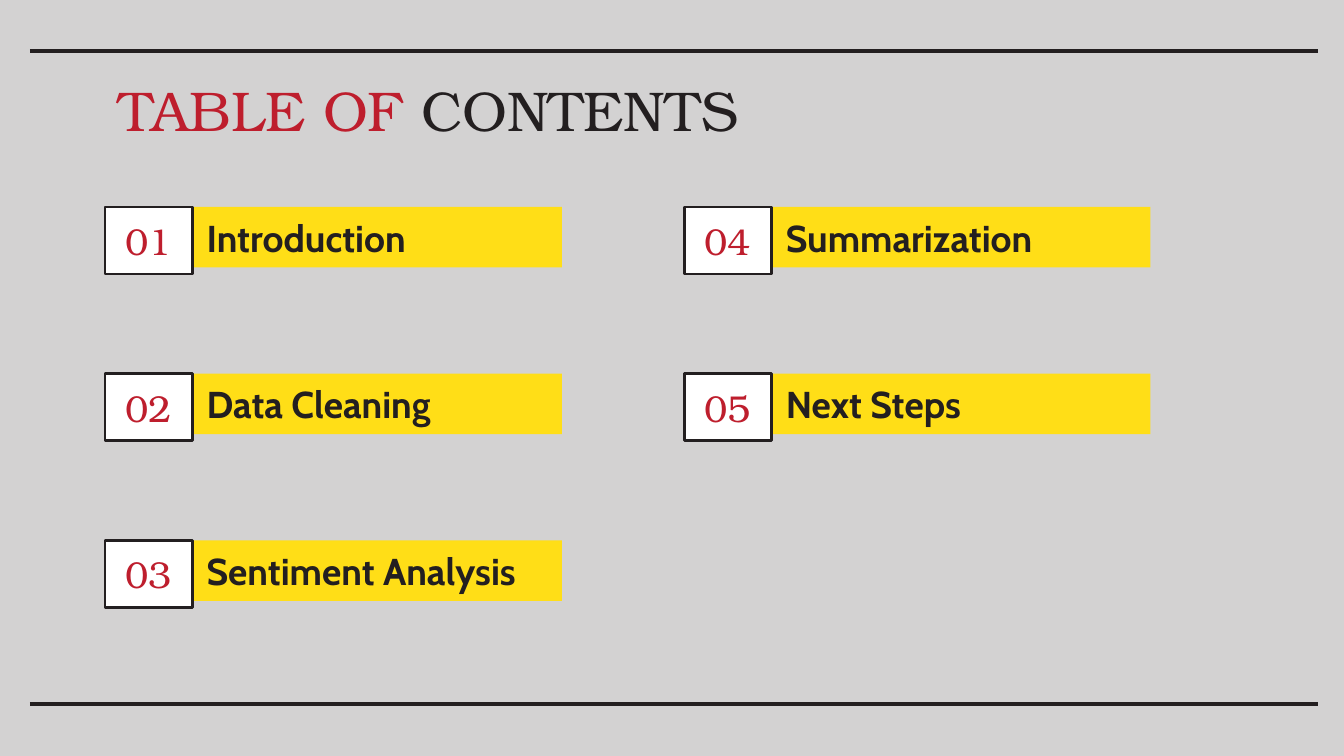
from lxml.etree import SubElement
from pptx import Presentation
from pptx.dml.color import RGBColor
from pptx.enum.shapes import MSO_CONNECTOR, MSO_SHAPE
from pptx.enum.text import MSO_ANCHOR, PP_ALIGN
from pptx.oxml.ns import qn
from pptx.util import Pt

GREY = RGBColor(0xD3, 0xD2, 0xD2)
BLACK = RGBColor(0x23, 0x1F, 0x20)
RED = RGBColor(0xBE, 0x1E, 0x2D)
YELLOW = RGBColor(0xFF, 0xDE, 0x17)
WHITE = RGBColor(0xFF, 0xFF, 0xFF)

SERIF, SANS = "TeX Gyre Bonum", "Cabin"
NUMBER_W, NUMBER_H = 46.8, 36
BAR_OFFSET, BAR_H = 47.4, 32.4
ROW_TOP, ROW_PITCH = 110.9, 89.3

# Left edge, width and entries of each column
COLUMNS = [
    (56.2, 244.8, ["Introduction", "Data Cleaning", "Sentiment Analysis"]),
    (366.5, 249.8, ["Summarization", "Next Steps"]),
]


def write(sp, runs, align=PP_ALIGN.LEFT, **font):
    """Fill a shape with one paragraph of (text, colour) runs."""
    tf = sp.text_frame
    frame = dict(word_wrap=True, vertical_anchor=MSO_ANCHOR.MIDDLE,
                 margin_left=Pt(7.2), margin_right=Pt(7.2),
                 margin_top=Pt(7.2), margin_bottom=Pt(7.2))
    for name, value in frame.items():
        setattr(tf, name, value)
    p = tf.paragraphs[0]
    p.alignment = align
    for text, color in runs:
        r = p.add_run()
        r.text = text
        r.font.color.rgb = color
        for name, value in font.items():
            setattr(r.font, name, value)


def add_box(s, x, y, w, h, fill, border=None):
    sp = s.shapes.add_shape(MSO_SHAPE.RECTANGLE, Pt(x), Pt(y), Pt(w), Pt(h))
    sp.shadow.inherit = False
    sp.fill.solid()
    sp.fill.fore_color.rgb = fill
    if border is None:
        sp.line.fill.background()
    else:
        sp.line.color.rgb = border
        sp.line.width = Pt(1.5)
    return sp


def add_rule(s, x, y, w):
    line = s.shapes.add_connector(MSO_CONNECTOR.STRAIGHT, Pt(x), Pt(y), Pt(x + w), Pt(y))
    line.line.color.rgb = BLACK
    line.line.width = Pt(2.25)
    SubElement(line._element.spPr, qn("a:effectLst"))


def add_title(s, x, y, w, h):
    sp = s.shapes.add_textbox(Pt(x), Pt(y), Pt(w), Pt(h))
    write(sp, [("TABLE OF", RED), (" CONTENTS", BLACK)], name=SERIF, size=Pt(30))


def add_entry(s, x, y, w, number, label):
    bar = add_box(s, x + BAR_OFFSET, y, w - BAR_OFFSET, BAR_H, YELLOW)
    write(bar, [(label, BLACK)], name=SANS, size=Pt(20), bold=True)
    box = add_box(s, x, y, NUMBER_W, NUMBER_H, WHITE, BLACK)
    write(box, [(f"{number:02}", RED)], PP_ALIGN.CENTER, name=SERIF, size=Pt(20))


def add_contents(s, top):
    number = 1
    for x, w, labels in COLUMNS:
        for row, label in enumerate(labels):
            add_entry(s, x, top + row * ROW_PITCH, w, number, label)
            number += 1


def main():
    prs = Presentation()
    prs.slide_width, prs.slide_height = Pt(720), Pt(405)
    s = prs.slides.add_slide(prs.slide_layouts[6])
    s.background.fill.solid()
    s.background.fill.fore_color.rgb = GREY
    for y in (27.4, 377.3):
        add_rule(s, 16, y, 690)
    add_title(s, 56.2, 35.6, 607, 45.4)
    add_contents(s, ROW_TOP)
    prs.save("out.pptx")


if __name__ == "__main__":
    main()
